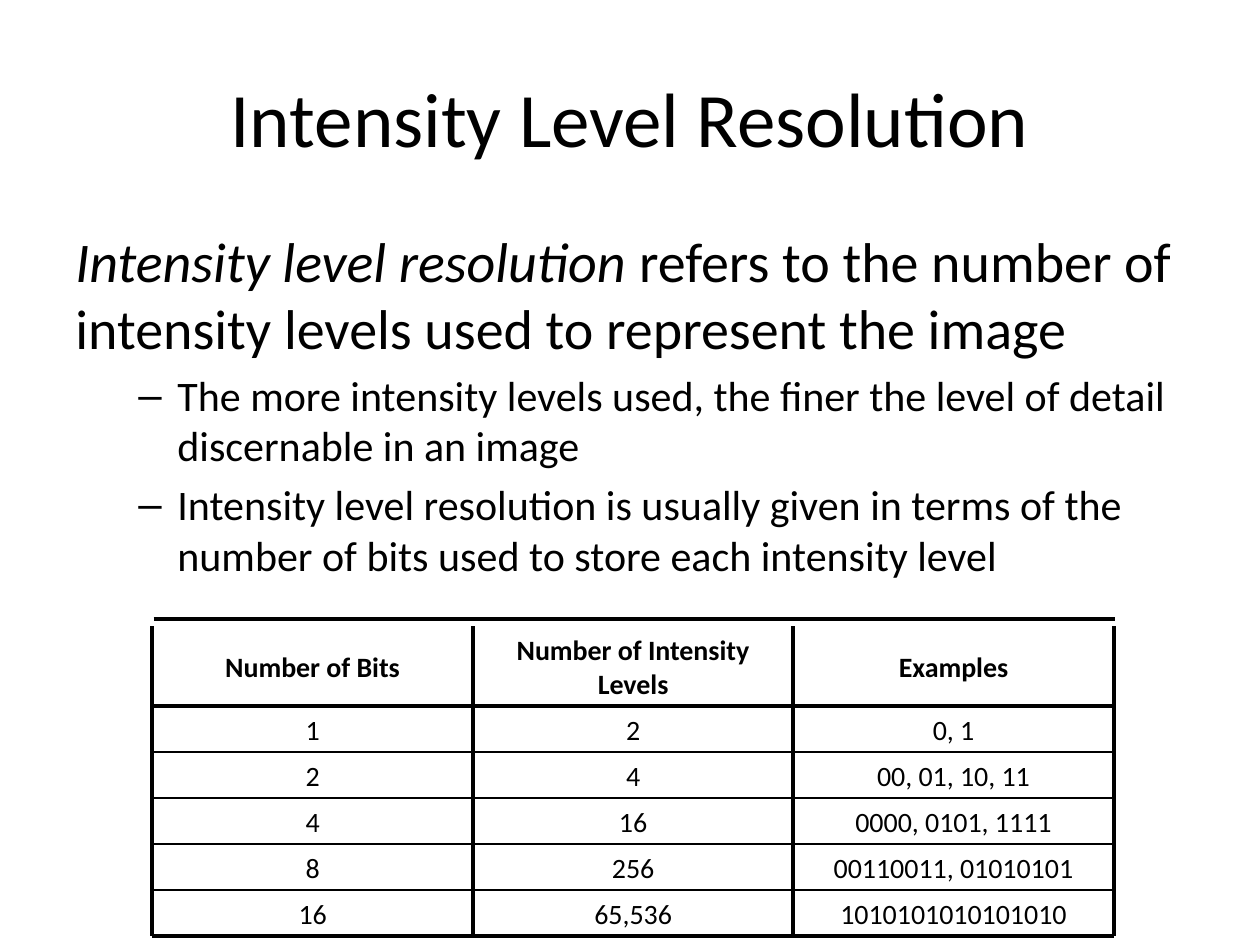
from lxml.etree import SubElement
from pptx import Presentation
from pptx.dml.color import RGBColor
from pptx.enum.shapes import MSO_CONNECTOR as Connector
from pptx.enum.text import MSO_ANCHOR as Anchor, PP_ALIGN as Align
from pptx.oxml.ns import qn
from pptx.util import Pt

PX = 9144
BLACK = "000000"
THICK, THIN = 2.25, 1
PLAIN_STYLE = "{2D5ABB26-0587-4C30-8999-92F81FD0307C}"
DETAILS = [
    "The more intensity levels used, the finer the level of detail "
    "discernable in an image",
    "Intensity level resolution is usually given in terms of the "
    "number of bits used to store each intensity level",
]
HEADER = ["Number of Bits", "Number of Intensity Levels", "Examples"]
ROWS = [
    HEADER,
    ["1", "2", "0, 1"],
    ["2", "4", "00, 01, 10, 11"],
    ["4", "16", "0000, 0101, 1111"],
    ["8", "256", "00110011, 01010101"],
    ["16", "65,536", "1010101010101010"],
]


def px(*lengths):
    return [round(length * PX) for length in lengths]


def color(hex_value):
    return RGBColor.from_string(hex_value)


def set_all(target, values):
    for name, value in values.items():
        setattr(target, name, value)


def add_span(para, text, size, **formats):
    span = para.add_run()
    span.text = text
    set_all(span.font, {"name": "Calibri", "size": Pt(size), **formats})
    span.font.color.rgb = color(BLACK)


def add_frame(page, box, anchor):
    frame = page.shapes.add_textbox(*px(*box)).text_frame
    set_all(frame, {"word_wrap": True, "vertical_anchor": anchor})
    return frame


def add_title(page, box):
    para = add_frame(page, box, Anchor.MIDDLE).paragraphs[0]
    para.alignment = Align.CENTER
    add_span(para, "Intensity Level Resolution", 44)


def add_body(page, box):
    frame = add_frame(page, box, Anchor.TOP)
    para = frame.paragraphs[0]
    add_span(para, "Intensity level resolution", 32, italic=True)
    add_span(
        para,
        " refers to the number of intensity levels used to represent the image",
        32,
    )
    margin, indent = px(81, -31)
    for detail in DETAILS:
        para = frame.add_paragraph()
        set_all(para, {"level": 1, "space_before": Pt(4.8)})
        props = para._p.get_or_add_pPr()
        props.set("marL", str(margin))
        props.set("indent", str(indent))
        SubElement(props, qn("a:buFont"), typeface="Arial")
        SubElement(props, qn("a:buChar"), char="–")
        add_span(para, detail, 24)


def add_rule(page, ends, weight):
    rule = page.shapes.add_connector(Connector.STRAIGHT, *px(*ends))
    rule.line.width = Pt(weight)
    rule.line.color.rgb = color(BLACK)
    SubElement(rule._element.spPr, qn("a:effectLst"))


def fill_cell(cell, text, bold):
    cell.fill.background()
    top, bottom = px(5, 2)
    set_all(cell, {"margin_top": top, "margin_bottom": bottom,
                   "vertical_anchor": Anchor.MIDDLE})
    para = cell.text_frame.paragraphs[0]
    para.alignment = Align.CENTER
    add_span(para, text, 16, bold=bold)


def add_bits_table(page, box, header_height):
    left, top, width, height = box
    right, bottom = left + width, top + height
    column_width = width / len(HEADER)
    row_height = (height - header_height) / (len(ROWS) - 1)

    table_frame = page.shapes.add_table(len(ROWS), len(HEADER), *px(*box))
    table = table_frame.table
    set_all(table, {"first_row": False, "horz_banding": False})
    table._tbl.tblPr.find(qn("a:tableStyleId")).text = PLAIN_STYLE
    for column in table.columns:
        column.width = px(column_width)[0]
    for index, texts in enumerate(ROWS):
        table.rows[index].height = px(row_height if index else header_height)[0]
        for column, text in enumerate(texts):
            fill_cell(table.cell(index, column), text, index == 0)

    add_rule(page, (left + 1, top - 6, right + 1, top - 6), THICK)
    for index in range(len(ROWS)):
        y = top + header_height + index * row_height
        weight = THICK if index in (0, len(ROWS) - 1) else THIN
        add_rule(page, (left, y, right, y), weight)
    for index in range(len(HEADER) + 1):
        x = left + index * column_width
        add_rule(page, (x, top, x, bottom), THICK)


def main():
    deck = Presentation()
    deck.slide_width, deck.slide_height = px(1000, 750)
    page = deck.slides.add_slide(deck.slide_layouts[6])
    add_title(page, (50, 30, 900, 125))
    add_body(page, (50, 175, 900, 495))
    add_bits_table(page, (121, 497, 763, 246), 63)
    deck.save("out.pptx")


if __name__ == "__main__":
    main()
